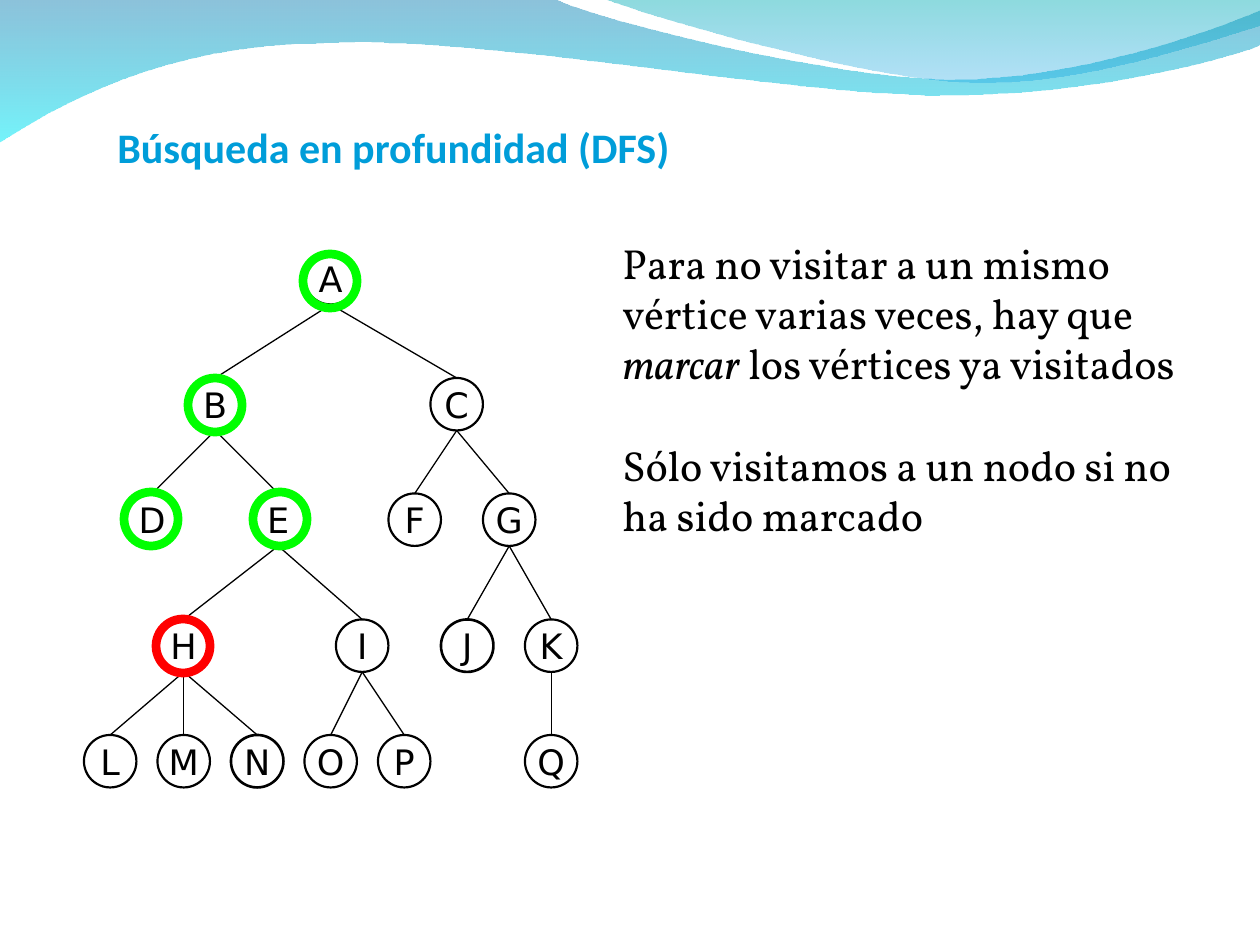
from lxml import etree
from pptx import Presentation
from pptx.dml.color import RGBColor
from pptx.enum.shapes import MSO_CONNECTOR, MSO_SHAPE
from pptx.enum.text import MSO_ANCHOR, PP_ALIGN
from pptx.oxml.ns import qn
from pptx.util import Emu, Pt

OVAL, STRAIGHT = MSO_SHAPE.OVAL, MSO_CONNECTOR.STRAIGHT
MIDDLE, CENTER = MSO_ANCHOR.MIDDLE, PP_ALIGN.CENTER

EMU_PER_PX = 914400 / 126
GRID = 126 / 12  # the tree sits on a grid of a twelfth of an inch
NODE_SIZE, RING_SIZE = 5 * GRID, 54
BLACK, GREEN, RED, TITLE_BLUE = "000000", "00FF00", "FF0000", "009DD9"

# Header waves: a start point, then lines (one point) and Bézier curves (three points).
LOWER_WAVE = [
    [(0, -1)], [(554, -1)],
    [(600, 21), (837, 79), (955, 79)], [(1075, 79), (1207, 33), (1260, 11)],
    [(1261, 45)],
    [(1239, 55), (1096, 96), (940, 95)], [(784, 95), (481, 35), (324, 43)],
    [(163, 44), (58, 105), (-1, 142)],
]
UPPER_WAVE = [
    [(604, -1)],
    [(641, 14), (859, 78), (969, 82)], [(1079, 87), (1211, 40), (1260, 26)],
    [(1260, 0)],
]

# Tree levels in grid steps: top of the level, then the left of each node.
LEVELS = [
    (24, {"A": 29}),
    (36, {"B": 18, "C": 41}),
    (47, {"D": 12, "E": 24, "F": 37, "G": 46}),
    (59, {"H": 15, "I": 32, "J": 42, "K": 50}),
    (70, {"L": 8, "M": 15, "N": 22, "O": 29, "P": 36, "Q": 50}),
]
CHILDREN = {"A": "BC", "B": "DE", "C": "FG", "E": "HI", "G": "JK",
            "H": "LMN", "I": "OP", "K": "Q"}
HEAVY_NODES = "JN"
RINGS = [(156, 619, RED), (124, 492, GREEN), (253, 492, GREEN),
         (188, 378, GREEN), (303, 254, GREEN)]


def px(length):
    return Emu(round(length * EMU_PER_PX))


def color(value):
    return RGBColor.from_string(value)


def bend_curves(shape, segments):
    """Merge the lines along each three-point segment into one Bézier curve."""
    lines = iter(list(shape._element.iter(qn("a:lnTo"))))
    for segment in segments:
        parts = [next(lines) for _ in segment]
        if len(parts) == 3:
            curve = etree.Element(qn("a:cubicBezTo"))
            parts[0].addprevious(curve)
            for part in parts:
                curve.append(part[0])
                part.getparent().remove(part)


def add_wave(slide, segments, stops):
    """Draw a wave with a downward gradient of (color, opacity in percent) stops."""
    points = [point for segment in segments for point in segment]
    builder = slide.shapes.build_freeform(*points[0], scale=EMU_PER_PX)
    builder.add_line_segments(points[1:], close=True)
    shape = builder.convert_to_shape()
    bend_curves(shape, segments[1:])
    shape.shadow.inherit = False
    shape.line.fill.background()
    shape.fill.gradient()
    shape.fill.gradient_angle = 270
    for stop, (value, _) in zip(shape.fill.gradient_stops, stops):
        stop.color.rgb = color(value)
    for element, (_, opacity) in zip(shape._element.iter(qn("a:srgbClr")), stops):
        etree.SubElement(element, qn("a:alpha"), val=str(opacity * 1000))


def add_run(paragraph, text, font, size, value=BLACK, bold=False, italic=False):
    run = paragraph.add_run()
    run.text = text
    run.font.name = font
    run.font.size = Pt(size)
    run.font.bold = bold
    run.font.italic = italic
    run.font.color.rgb = color(value)


def add_text_box(slide, left, top, width, height):
    frame = slide.shapes.add_textbox(px(left), px(top), px(width), px(height)).text_frame
    frame.word_wrap = True
    return frame


def add_circle(slide, left, top, size, value, line_width):
    circle = slide.shapes.add_shape(OVAL, px(left), px(top), px(size), px(size))
    circle.shadow.inherit = False
    circle.fill.background()
    circle.line.color.rgb = color(value)
    circle.line.width = Pt(line_width)
    return circle


def add_node(slide, letter, left, top):
    line_width = 1.5 if letter in HEAVY_NODES else 1.25
    frame = add_circle(slide, left, top, NODE_SIZE, BLACK, line_width).text_frame
    frame.word_wrap = False
    frame.vertical_anchor = MIDDLE
    paragraph = frame.paragraphs[0]
    paragraph.alignment = CENTER
    add_run(paragraph, letter, "DejaVu Sans", 20)


def add_edge(slide, parent, child):
    """Join the bottom of the parent to the top of the child."""
    half = NODE_SIZE / 2
    edge = slide.shapes.add_connector(
        STRAIGHT, px(parent[0] + half), px(parent[1] + NODE_SIZE),
        px(child[0] + half), px(child[1]))
    edge.line.color.rgb = color(BLACK)
    edge.line.width = Pt(0.75)
    etree.SubElement(edge._element.spPr, qn("a:effectLst"))


def add_tree(slide):
    nodes = {letter: (left * GRID, top * GRID)
             for top, level in LEVELS for letter, left in level.items()}
    for letter, position in nodes.items():
        add_node(slide, letter, *position)
    for parent, children in CHILDREN.items():
        for child in children:
            add_edge(slide, nodes[parent], nodes[child])
    for left, top, value in RINGS:
        add_circle(slide, left, top, RING_SIZE, value, 5)


def add_explanation(slide):
    frame = add_text_box(slide, 610, 231, 597, 365)
    first = frame.paragraphs[0]
    add_run(first, "Para no visitar a un mismo vértice varias veces, hay que ", "Vollkorn", 24)
    add_run(first, "marcar", "Vollkorn", 24, italic=True)
    add_run(first, " los vértices ya visitados", "Vollkorn", 24)
    second = frame.add_paragraph()
    second.space_before = Pt(29)
    add_run(second, "Sólo visitamos a un nodo si no ha sido marcado", "Vollkorn", 24)


def main():
    presentation = Presentation()
    presentation.slide_width, presentation.slide_height = px(1260), px(945)
    slide = presentation.slides.add_slide(presentation.slide_layouts[6])

    # Header waves
    add_wave(slide, LOWER_WAVE, [("0079AF", 45), ("00EBF8", 55)])
    add_wave(slide, UPPER_WAVE, [("00ADB6", 45), ("009BE5", 30)])

    # Title and explanation
    title = add_text_box(slide, 105, 115, 1040, 63)
    add_run(title.paragraphs[0], "Búsqueda en profundidad (DFS)", "Calibri", 24, TITLE_BLUE, bold=True)
    add_explanation(slide)

    # Search tree with its marked nodes
    add_tree(slide)
    presentation.save("out.pptx")


if __name__ == "__main__":
    main()
